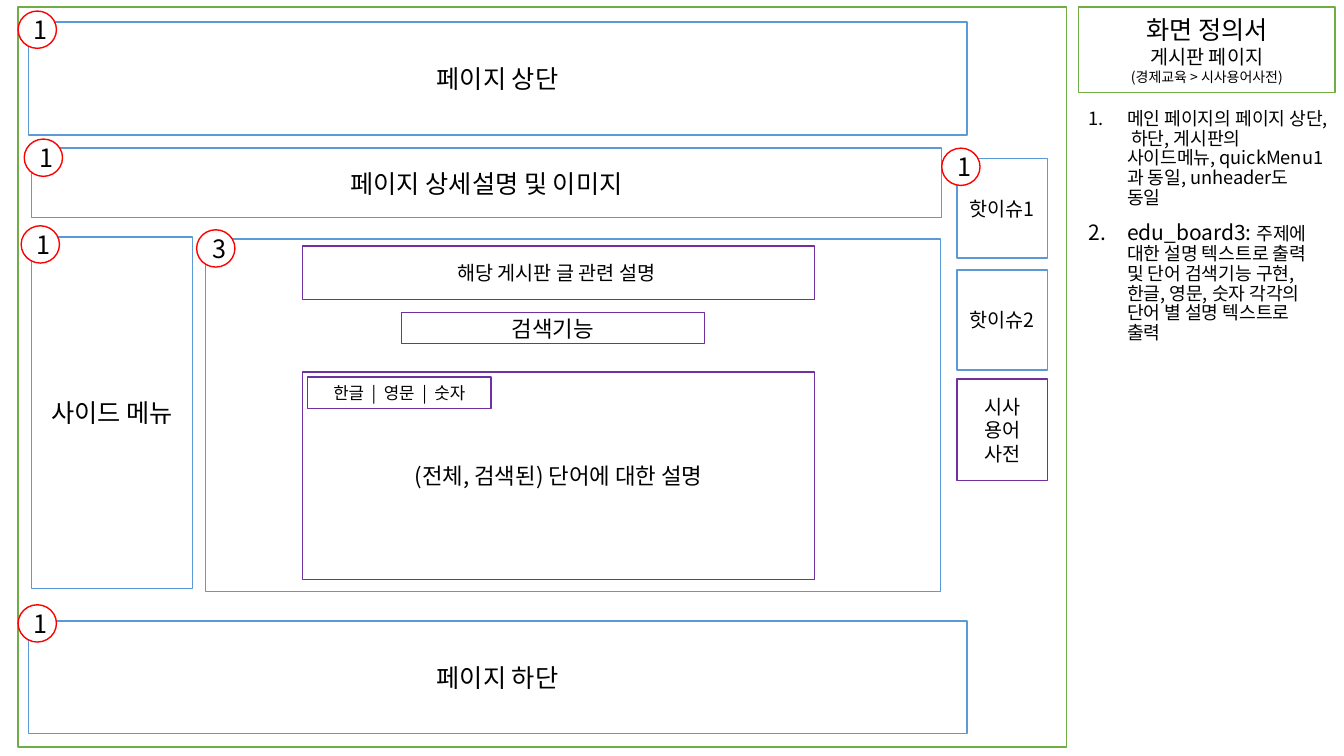
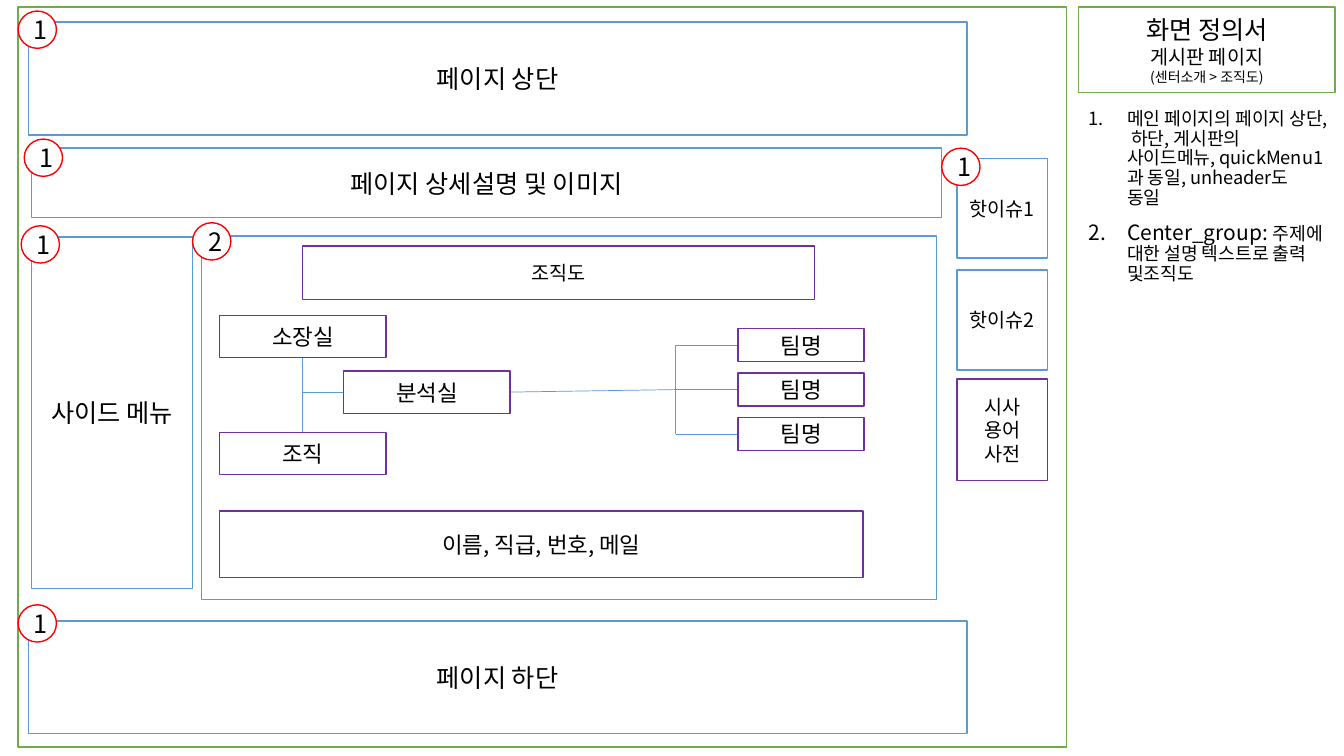
from pptx import Presentation
from pptx.dml.color import RGBColor
from pptx.enum import shapes, text
from pptx.oxml import ns, xmlchemy
from pptx.util import Inches, Pt

WHITE = RGBColor(0xFF, 0xFF, 0xFF)
BLACK = RGBColor(0, 0, 0)
GREEN = RGBColor(0x70, 0xAD, 0x47)
BLUE = RGBColor(0x5B, 0x9B, 0xD5)
PURPLE = RGBColor(0x70, 0x30, 0xA0)
RED = RGBColor(0xFF, 0, 0)
FONT = "Noto Sans CJK KR"
RECT = shapes.MSO_SHAPE.RECTANGLE
CIRCLE = shapes.MSO_SHAPE.FLOWCHART_CONNECTOR

# Page regions: left, top, width, height in inches
FRAME = (0.18, 0.07, 10.4, 7.34)
HEADER = (0.28, 0.22, 9.31, 1.12)
DETAIL = (0.31, 1.47, 9.03, 0.69)
SIDE_MENU = (0.31, 2.35, 1.6, 3.49)
FOOTER = (0.28, 6.16, 9.31, 1.12)
QUICK_MENU = (9.49, 1.57, 0.9, 3.2)
PANEL = (10.7, 0.07, 2.54, 7.2)
BOARD = (2.04, 2.37, 7.29, 3.5)
ORG_CHART = (2, 2.34, 7.29, 3.61)

COMMON_NOTE = [("메인 페이지의 페이지 상단, 하단, 게시판의 사이드메뉴, "
                "quickMenu1과 동일, unheader도 동일", 13)]


def within(box, x, y, w, h):
    """Turn a place relative to a box into a place on the slide."""
    return box[0] + x, box[1] + y, w, h


def style_paragraph(p, size=None):
    p.font.color.rgb = BLACK
    p.font.name = FONT
    if size:
        p.font.size = Pt(size)
    defaults = p.font.fill._xPr
    east_asian = xmlchemy.OxmlElement("a:ea")
    east_asian.set("typeface", FONT)
    defaults.append(east_asian)
    return defaults


def add_box(s, place, color, lines=(), kind=RECT):
    """Draw an outlined shape; lines holds (text, size) pairs."""
    sp = s.shapes.add_shape(kind, *map(Inches, place))
    sp.shadow.inherit = False
    sp.fill.solid()
    sp.fill.fore_color.rgb = WHITE
    sp.line.color.rgb = color
    sp.line.width = Pt(1)
    tf = sp.text_frame
    tf.word_wrap = True
    for i, (words, size) in enumerate(lines):
        p = tf.add_paragraph() if i else tf.paragraphs[0]
        p.text = words
        p.alignment = text.PP_ALIGN.CENTER
        style_paragraph(p, size)


def add_badge(s, box, dx, dy, number):
    add_box(s, within(box, dx, dy, 0.38, 0.37), RED, [(number, 18)], CIRCLE)


def add_line(s, box, x1, y1, x2, y2):
    left, top = box[:2]
    line = s.shapes.add_connector(
        shapes.MSO_CONNECTOR.STRAIGHT, Inches(left + x1), Inches(top + y1),
        Inches(left + x2), Inches(top + y2))
    line.line.color.rgb = BLUE
    line.line.width = Pt(0.5)
    line._element.find(ns.qn("p:spPr")).append(
        xmlchemy.OxmlElement("a:effectLst"))


# Title and numbered notes at the right
def add_panel(s, box, location, notes):
    add_box(s, within(box, 0, 0, box[2], 0.85), GREEN,
            [("화면 정의서", 18), ("게시판 페이지", 14), (location, 10)])
    place = within(box, 0, 0.97, box[2], 6.23)
    tf = s.shapes.add_textbox(*map(Inches, place)).text_frame
    tf.word_wrap = True
    for i, runs in enumerate(notes):
        p = tf.add_paragraph() if i else tf.paragraphs[0]
        p.line_spacing = 0.9
        p.space_before = Pt(10)
        defaults = style_paragraph(p)
        numbering = xmlchemy.OxmlElement("a:buAutoNum")
        numbering.set("type", "arabicPeriod")
        defaults.addprevious(numbering)
        props = defaults.getparent()
        props.set("marL", str(Inches(0.38)))
        props.set("indent", str(-Inches(0.38)))
        for words, size in runs:
            for j, part in enumerate(words.split("\n")):
                if j:
                    p.add_line_break()
                r = p.add_run()
                r.text = part
                r.font.size = Pt(size)


# Hot issues and glossary
def add_quick_menu(s, box):
    for i, name in enumerate(("핫이슈1", "핫이슈2")):
        add_box(s, within(box, 0, 1.11 * i, box[2], 0.99), BLUE, [(name, 14)])
    add_box(s, within(box, 0, 2.19, box[2], 1.01), PURPLE,
            [("시사 용어 사전", 14)])


# Glossary board
def add_board(s, box):
    add_box(s, box, BLUE)
    for place, words, size in (
            ((0.96, 0.07, 5.08, 0.53), "해당 게시판 글 관련 설명 ", 14),
            ((1.94, 0.73, 3.01, 0.31), "검색기능", 16),
            ((0.96, 1.32, 5.08, 2.06), "(전체, 검색된) 단어에 대한 설명", 16),
            ((1.01, 1.37, 1.82, 0.31), "한글  |  영문  |  숫자", 12)):
        add_box(s, within(box, *place), PURPLE, [(words, size)])
    add_badge(s, box, -0.09, -0.09, "3")


# Organisation chart
def add_org_chart(s, box):
    add_box(s, box, BLUE)
    team_tops = [0.92 + 0.44 * i for i in range(3)]
    team_mids = [top + 0.165 for top in team_tops]
    trunk, bus, team_left, office_mid = 1, 4.7, 5.32, 1.55

    add_line(s, box, trunk, 1.21, trunk, 1.95)
    add_line(s, box, trunk, office_mid, 1.41, office_mid)
    add_line(s, box, 3.06, office_mid, bus, team_mids[1])
    add_line(s, box, bus, team_mids[0], bus, team_mids[-1])
    for mid in team_mids:
        add_line(s, box, bus, mid, team_left, mid)

    nodes = [((1, 0.1, 5.08, 0.53), "조직도", 14),
             ((0.18, 0.79, 1.65, 0.42), "소장실", 16),
             ((1.41, 1.34, 1.65, 0.42), "분석실", 16),
             ((0.18, 1.95, 1.65, 0.42), "조직", 16),
             ((0.18, 2.73, 6.38, 0.66), "이름, 직급, 번호, 메일", 16)]
    nodes += [((team_left, top, 1.25, 0.33), "팀명", 16) for top in team_tops]
    for place, words, size in nodes:
        add_box(s, within(box, *place), PURPLE, [(words, size)])
    add_badge(s, box, -0.09, -0.13, "2")


def add_page(prs, location, note, add_content, content_box):
    s = prs.slides.add_slide(prs.slide_layouts[6])
    add_box(s, FRAME, GREEN)
    for place, name in ((HEADER, "페이지 상단"),
                        (DETAIL, "페이지 상세설명 및 이미지"),
                        (SIDE_MENU, "사이드 메뉴"),
                        (FOOTER, "페이지 하단")):
        add_box(s, place, BLUE, [(name, 18)])
    add_quick_menu(s, QUICK_MENU)
    add_content(s, content_box)
    for box, dx, dy in ((HEADER, -0.1, -0.11), (DETAIL, -0.07, -0.09),
                        (SIDE_MENU, -0.1, -0.11), (FOOTER, -0.1, -0.16),
                        (QUICK_MENU, -0.15, -0.1)):
        add_badge(s, box, dx, dy, "1")
    add_panel(s, PANEL, location, [COMMON_NOTE, note])


def main():
    prs = Presentation()
    prs.slide_width, prs.slide_height = Inches(13.33), Inches(7.5)
    add_page(prs, "(경제교육 > 시사용어사전)",
             [("edu_board3: ", 15),
              ("주제에 대한 설명 텍스트로 출력 및 단어 검색기능 구현,\n"
               "한글, 영문, 숫자 각각의 단어 별 설명 텍스트로 출력", 13)],
             add_board, BOARD)
    add_page(prs, "(센터소개 > 조직도)",
             [("Center_group: ", 15),
              ("주제에 대한 설명 텍스트로 출력 및조직도", 13)],
             add_org_chart, ORG_CHART)
    prs.save("out.pptx")


if __name__ == "__main__":
    main()
